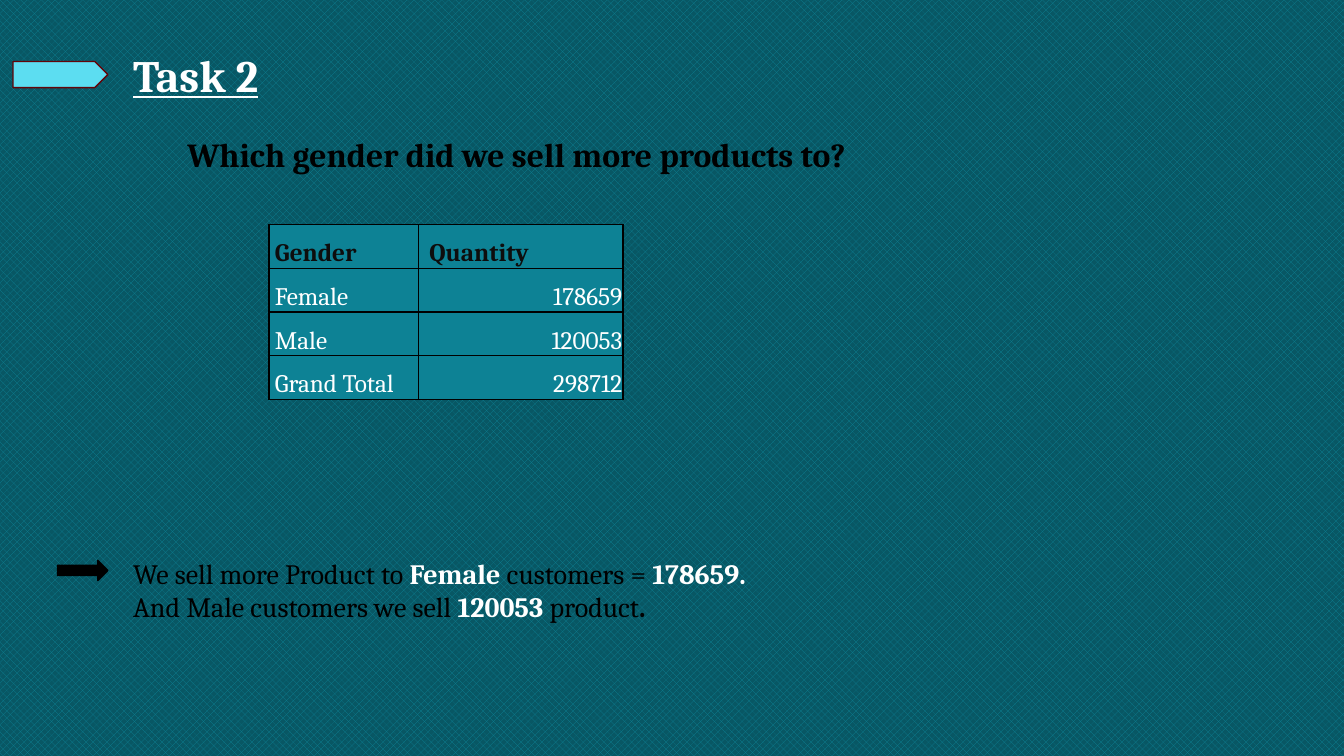
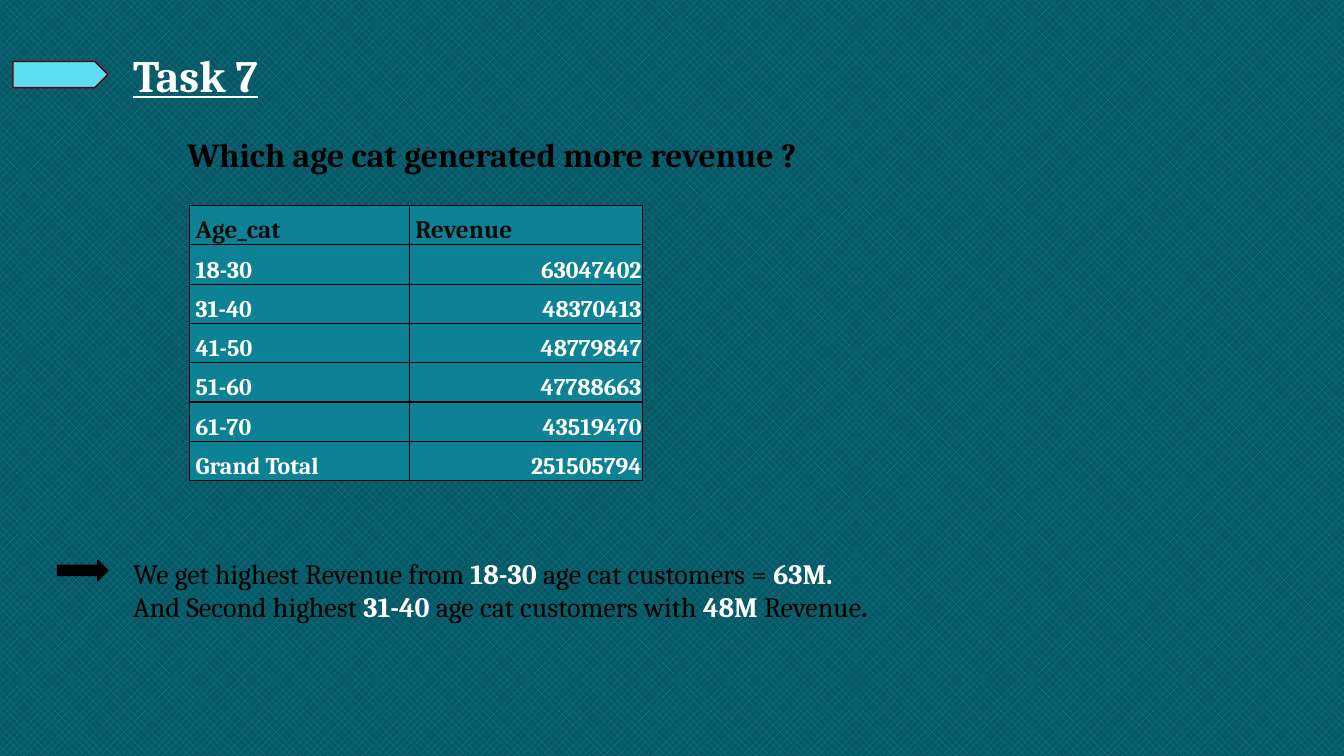
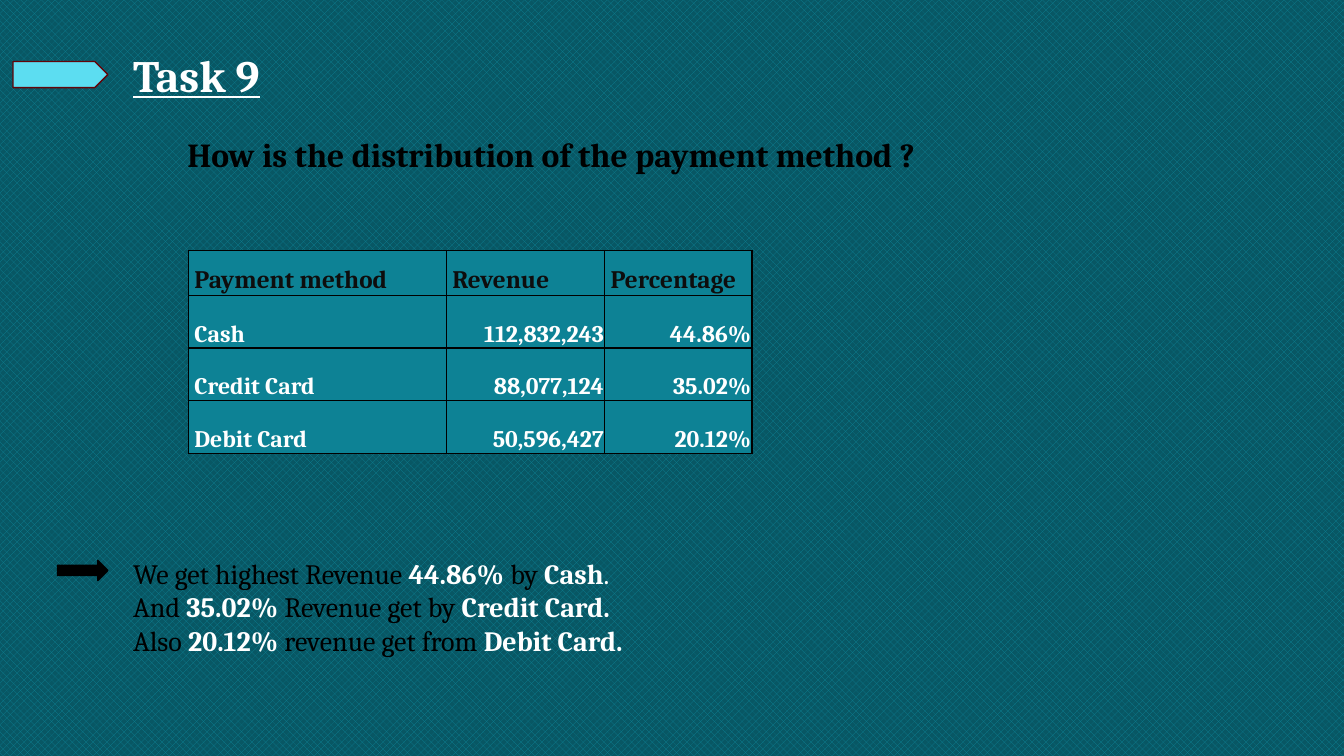
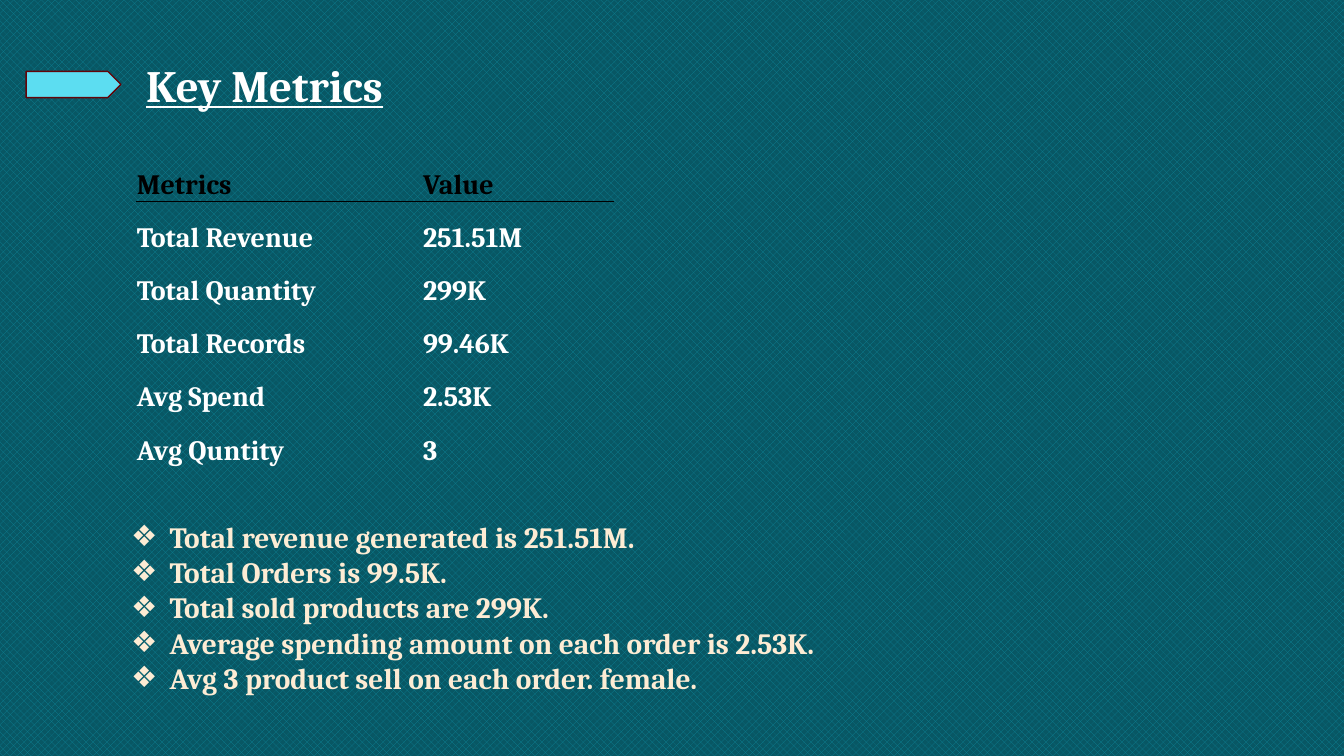
import pptx
import pptx.util
import pptx.dml.color
import pptx.enum.dml
import pptx.enum.shapes
import pptx.enum.text
import pptx.oxml
import pptx.oxml.ns
from lxml import etree

Cm, Pt = pptx.util.Cm, pptx.util.Pt
RGBColor = pptx.dml.color.RGBColor
MSO_SHAPE = pptx.enum.shapes.MSO_SHAPE
PP_ALIGN = pptx.enum.text.PP_ALIGN
MSO_ANCHOR = pptx.enum.text.MSO_ANCHOR
qn = pptx.oxml.ns.qn

TEAL = RGBColor(0x0D, 0x82, 0x95)
DEEP = RGBColor(0x08, 0x57, 0x64)
CYAN = RGBColor(0x5C, 0xDD, 0xF1)
MAROON = RGBColor(0x63, 0x03, 0x08)
CREAM = RGBColor(0xFD, 0xEC, 0xD4)
INK = RGBColor(0x0D, 0x0D, 0x0D)
BLACK = RGBColor(0, 0, 0)
WHITE = RGBColor(0xFF, 0xFF, 0xFF)

TITLE = {"size": Pt(32), "bold": True, "underline": True}
QUESTION = {"size": Pt(24), "bold": True}
PLAIN = {"size": Pt(20), "bold": False}
STRONG = {"size": Pt(20), "bold": True}
BULLET = {"size": Pt(21), "bold": True}
HEAD = {"size": Pt(18), "bold": True}
CELL = {"size": Pt(17), "bold": True}
LIGHT_CELL = {"size": Pt(18), "bold": False}

TEXT = (PLAIN, BLACK)
KEY = (STRONG, WHITE)
STOP = (STRONG, BLACK)
LIGHT = (PLAIN, WHITE)
POINT = (BULLET, CREAM)


def add_run(p, text, fmt, colour):
    r = p.add_run()
    r.text = text
    r.font.name = "Cambria"
    r.font.color.rgb = colour
    for name, value in fmt.items():
        setattr(r.font, name, value)


def place(sp, left, top, width, height):
    box = {"left": left, "top": top, "width": width, "height": height}
    for name, value in box.items():
        setattr(sp, name, Cm(value))


slides = [
    {
        "title": "Task 2",
        "question": "Which gender did we sell more products to?",
        "table_at": (6.78, 5.66),
        "cols": [3.76, 5.16],
        "rows": [1.1] * 4,
        "cells": [["Gender", "Quantity"], ["Female", "178659"],
                  ["Male", "120053"], ["Grand Total", "298712"]],
        "head": (HEAD, INK),
        "cell": (LIGHT_CELL, WHITE),
        "indents": [0.15, 0.28],
        "body_at": (3.1, 13.89, 17.12, 1.96),
        "body": [
            [("We sell more Product to ", TEXT), ("Female", KEY),
             (" customers = ", TEXT), ("178659.", KEY)],
            [("And Male customers we sell ", TEXT), ("120053 ", KEY),
             ("product", TEXT), (".", STOP)],
        ],
    },
    {
        "title": "Task 7",
        "question": "Which age cat generated more revenue ?",
        "table_at": (4.78, 5.18),
        "cols": [5.54, 5.87],
        "rows": [0.99] * 7,
        "cells": [["Age_cat", "Revenue"], ["18-30", "63047402"],
                  ["31-40", "48370413"], ["41-50", "48779847"],
                  ["51-60", "47788663"], ["61-70", "43519470"],
                  ["Grand Total", "251505794"]],
        "head": (HEAD, INK),
        "cell": (CELL, WHITE),
        "indents": [0.15, 0.15],
        "body_at": (3.1, 13.89, 20.88, 1.96),
        "body": [
            [("We get highest Revenue from ", TEXT), ("18-30", KEY),
             (" age cat customers = ", TEXT), ("63M.", KEY)],
            [("And Second highest ", TEXT), ("31-40", KEY),
             (" age cat customers with ", TEXT), ("48M ", KEY),
             ("Revenue", TEXT), (".", STOP)],
        ],
    },
    {
        "title": "Task 9",
        "question": "How is the distribution of the payment method ?",
        "table_at": (4.75, 6.32),
        "cols": [6.5, 3.99, 3.71],
        "rows": [1.12] + [1.33] * 3,
        "cells": [["Payment method", "Revenue", "Percentage"],
                  ["Cash", "112,832,243", "44.86%"],
                  ["Credit Card", "88,077,124", "35.02%"],
                  ["Debit Card", "50,596,427", "20.12%"]],
        "head": (HEAD, INK),
        "cell": (CELL, WHITE),
        "indents": [0.15, 0.15, 0.15],
        "body_at": (3.1, 13.89, 13.87, 2.82),
        "body": [
            [("We get highest Revenue ", TEXT), ("44.86%", KEY),
             (" by ", TEXT), ("Cash", KEY), (".", LIGHT)],
            [("And", TEXT), (" 35.02%", KEY),
             (" Revenue get by ", TEXT), ("Credit Card.", KEY)],
            [("Also ", TEXT), ("20.12%", KEY),
             (" revenue get from ", TEXT), ("Debit Card.", KEY)],
        ],
    },
    {
        "title": "Key Metrics",
        "question": None,
        "table_at": (3.43, 3.73),
        "cols": [7.21, 4.83],
        "rows": [1.34] * 6,
        "cells": [["Metrics", "Value"], ["Total Revenue", "251.51M"],
                  ["Total Quantity", "299K"], ["Total Records", "99.46K"],
                  ["Avg Spend", "2.53K"], ["Avg Quntity", "3"]],
        "head": (STRONG, BLACK),
        "cell": (STRONG, WHITE),
        "indents": [0.02, 0.02],
        "body_at": (3.05, 12.95, 20.29, 4.75),
        "body": [
            [("Total revenue generated is 251.51M.", POINT)],
            [("Total Orders is 99.5K.", POINT)],
            [("Total sold products are 299K.", POINT)],
            [("Average spending amount on each order is 2.53K.", POINT)],
            [("Avg 3 product sell on each order. female.", POINT)],
        ],
    },
]

prs = pptx.Presentation()
prs.slide_width, prs.slide_height = Cm(33.87), Cm(19.05)
fill = prs.slide_master.background.fill
fill.patterned()
fill.pattern = pptx.enum.dml.MSO_PATTERN.PERCENT_50
fill.fore_color.rgb = TEAL
fill.back_color.rgb = DEEP

for data in slides:
    s = prs.slides.add_slide(prs.slide_layouts[1])
    is_task = data["question"] is not None
    dx, dy = (0, 0) if is_task else (0.33, 0.25)

    title, body = s.shapes.title, s.placeholders[1]
    place(title, 3.1 + dx, 1.07 + dy, 7.37, 1.63)
    place(body, *data["body_at"])
    frame_format = {"vertical_anchor": MSO_ANCHOR.TOP,
                    "auto_size": pptx.enum.text.MSO_AUTO_SIZE.NONE}
    for sp in (title, body):
        for name, value in frame_format.items():
            setattr(sp.text_frame, name, value)
    p = title.text_frame.paragraphs[0]
    p.alignment = PP_ALIGN.LEFT
    add_run(p, data["title"], TITLE, WHITE)

    markers = [(MSO_SHAPE.PENTAGON, (0.33 + dx, 1.55 + dy, 2.39, 0.66), CYAN, MAROON)]
    if is_task:
        markers.append((MSO_SHAPE.RIGHT_ARROW, (1.45, 14.12, 1.27, 0.51), BLACK, BLACK))
        sp = s.shapes.add_textbox(Cm(4.47), Cm(3.18), Cm(22.86), Cm(1.32))
        sp.text_frame.word_wrap = True
        p = sp.text_frame.paragraphs[0]
        p.line_spacing, p.space_after = 1.07, Pt(8)
        add_run(p, data["question"], QUESTION, BLACK)
    for kind, box, colour, edge in markers:
        sp = s.shapes.add_shape(kind, *[Cm(v) for v in box])
        sp.shadow.inherit = False
        sp.fill.solid()
        sp.fill.fore_color.rgb = colour
        sp.line.color.rgb = edge
        sp.line.width = Pt(1)

    tf = body.text_frame
    tf.word_wrap = not is_task
    for i, runs in enumerate(data["body"]):
        p = tf.add_paragraph() if i else tf.paragraphs[0]
        p.space_before = Pt(0)
        for text, (fmt, colour) in runs:
            add_run(p, text, fmt, colour)
        pPr = p._p.get_or_add_pPr()
        indent = 0 if is_task else Cm(0.97)
        pPr.set("marL", str(indent))
        pPr.set("indent", str(-indent))
        if is_task:
            etree.SubElement(pPr, qn("a:buNone"))
        else:
            etree.SubElement(pPr, qn("a:buChar")).set("char", "❖")

    cols, rows = data["cols"], data["rows"]
    left, top = data["table_at"]
    table = s.shapes.add_table(len(rows), len(cols), Cm(left), Cm(top),
                               Cm(sum(cols)), Cm(sum(rows))).table
    table.first_row = table.horz_banding = False
    for col, width in zip(table.columns, cols):
        col.width = Cm(width)
    for row, height in zip(table.rows, rows):
        row.height = Cm(height)
    for y, texts in enumerate(data["cells"]):
        for x, text in enumerate(texts):
            cell = table.cell(y, x)
            cell_format = {"vertical_anchor": MSO_ANCHOR.BOTTOM,
                           "margin_left": Cm(0.02 if y and x else data["indents"][x]),
                           "margin_right": Cm(0.02), "margin_top": Cm(0.02),
                           "margin_bottom": 0}
            for name, value in cell_format.items():
                setattr(cell, name, value)
            tcPr = cell._tc.get_or_add_tcPr()
            for side in ("lnL", "lnR", "lnT", "lnB"):
                ln = etree.SubElement(tcPr, qn("a:" + side))
                ln.set("w", str(Pt(1)))
                if is_task or (y, side) in ((0, "lnB"), (1, "lnT")):
                    solid = etree.SubElement(ln, qn("a:solidFill"))
                    etree.SubElement(solid, qn("a:srgbClr")).set("val", str(BLACK))
                else:
                    etree.SubElement(ln, qn("a:noFill"))
            if is_task:
                cell.fill.solid()
                cell.fill.fore_color.rgb = TEAL
            else:
                cell.fill.background()
            p = cell.text_frame.paragraphs[0]
            p.alignment = PP_ALIGN.RIGHT if is_task and x and y else PP_ALIGN.LEFT
            add_run(p, text, *data["cell" if y else "head"])

prs.save("out.pptx")
